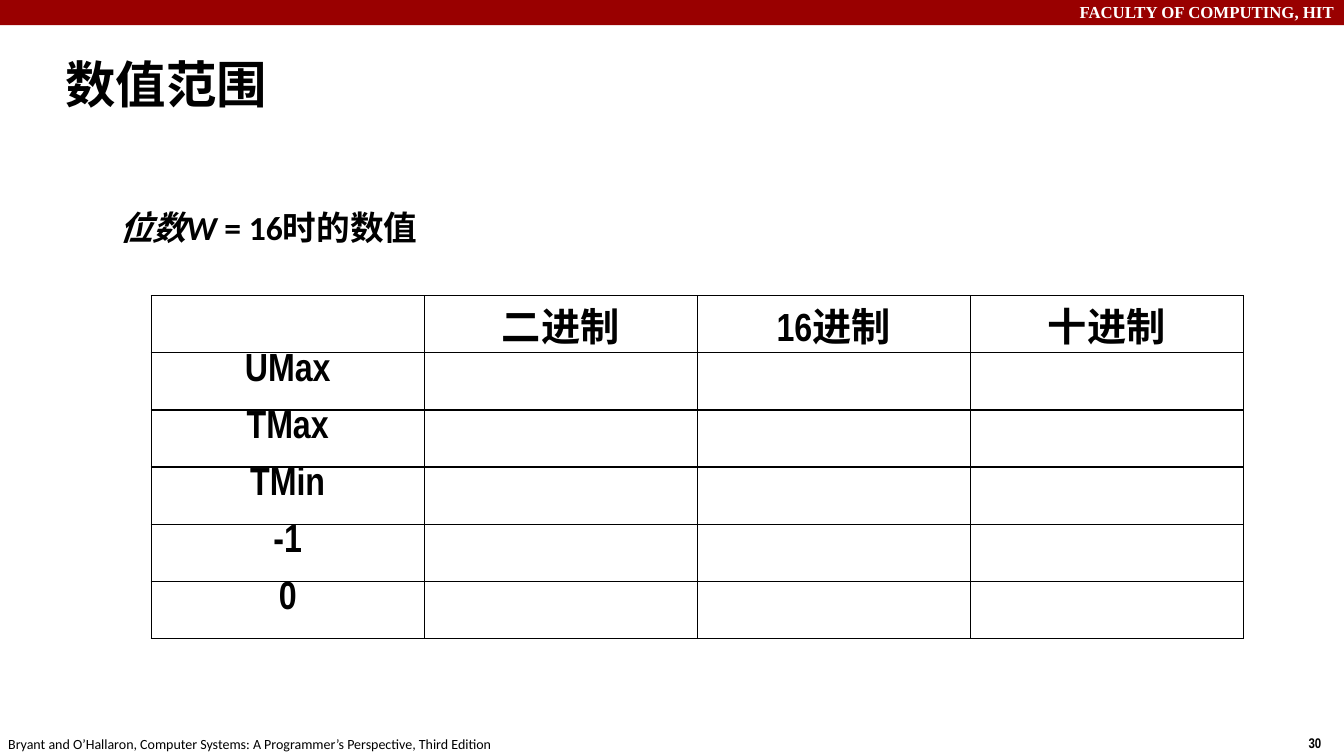
from lxml import etree
from pptx import Presentation
from pptx.dml.color import RGBColor
from pptx.enum.shapes import MSO_SHAPE
from pptx.enum.text import MSO_ANCHOR, PP_ALIGN
from pptx.oxml.ns import qn
from pptx.util import Inches, Pt

RECTANGLE = MSO_SHAPE.RECTANGLE
LEFT, CENTER, RIGHT = PP_ALIGN.LEFT, PP_ALIGN.CENTER, PP_ALIGN.RIGHT
TOP, MIDDLE, BOTTOM = MSO_ANCHOR.TOP, MSO_ANCHOR.MIDDLE, MSO_ANCHOR.BOTTOM

COLORS = {"band": "990000", "paper": "FFFFFF", "ink": "000000"}
BODY, NARROW, SERIF = "Calibri", "Arial Narrow", "Times New Roman"
COLUMNS, ROWS = 16, 9


class SlideBuilder:
    """Places styled elements on a grid of 16 columns by 9 rows."""

    def __init__(self, presentation):
        self.column = presentation.slide_width / COLUMNS
        self.row = presentation.slide_height / ROWS
        self.slide = presentation.slides.add_slide(presentation.slide_layouts[6])

    def place(self, left, top, width, height):
        return (round(left * self.column), round(top * self.row),
                round(width * self.column), round(height * self.row))

    def color(self, name):
        return RGBColor.from_string(COLORS[name])

    def add_run(self, paragraph, text, size, font=BODY, bold=True, italic=False, color="ink"):
        run = paragraph.add_run()
        run.text = text
        run.font.name, run.font.size = font, Pt(size)
        run.font.bold, run.font.italic = bold, italic
        run.font.color.rgb = self.color(color)

    def band(self, box, color):
        shape = self.slide.shapes.add_shape(RECTANGLE, *self.place(*box))
        shape.shadow.inherit = False
        shape.fill.solid()
        shape.fill.fore_color.rgb = self.color(color)
        shape.line.fill.background()

    def text(self, box, runs, align=LEFT, anchor=TOP, wrap=True):
        """Each run is a text with its style settings."""
        frame = self.slide.shapes.add_textbox(*self.place(*box)).text_frame
        frame.word_wrap, frame.vertical_anchor = wrap, anchor
        paragraph = frame.paragraphs[0]
        paragraph.alignment = align
        for text, style in runs:
            self.add_run(paragraph, text, **style)

    def border(self, cell):
        properties = cell._tc.get_or_add_tcPr()
        for side in ("a:lnL", "a:lnR", "a:lnT", "a:lnB"):
            line = etree.SubElement(properties, qn(side), w=str(Pt(1)))
            fill = etree.SubElement(line, qn("a:solidFill"))
            etree.SubElement(fill, qn("a:srgbClr"), val=COLORS["ink"])

    def table(self, box, header, labels, size, font):
        rows = [header] + [[label] + [""] * (len(header) - 1) for label in labels]
        table = self.slide.shapes.add_table(len(rows), len(header), *self.place(*box)).table
        table.first_row = table.horz_banding = False
        for row_index, row in enumerate(rows):
            for column_index, text in enumerate(row):
                cell = table.cell(row_index, column_index)
                cell.margin_top = cell.margin_bottom = 0
                cell.vertical_anchor = TOP if row_index else BOTTOM
                self.border(cell)
                cell.fill.background()
                if text:
                    paragraph = cell.text_frame.paragraphs[0]
                    paragraph.alignment = CENTER
                    self.add_run(paragraph, text, size, font)


def main():
    presentation = Presentation()
    presentation.slide_width, presentation.slide_height = Inches(13.33), Inches(7.5)
    builder = SlideBuilder(presentation)

    # Faculty band
    builder.band((0, 0, COLUMNS, 0.3), "band")
    builder.text((0, -0.04, COLUMNS, 0.36),
                 [("FACULTY OF COMPUTING, HIT", {"size": 12, "font": SERIF, "color": "paper"})],
                 align=RIGHT)

    # Page number and book credit
    builder.text((15.46, 8.68, 0.41, 0.32), [("30", {"size": 10, "font": NARROW})], wrap=False)
    builder.text((-0.02, 8.7, 6.1, 0.32),
                 [("Bryant and O’Hallaron, Computer Systems: A Programmer’s Perspective, "
                   "Third Edition", {"size": 10, "bold": False})], wrap=False)

    # Title and table caption
    builder.text((0.66, 0.49, 15.22, 1), [("数值范围", {"size": 36})], anchor=MIDDLE)
    builder.text((1.3, 2.4, 3.83, 0.6),
                 [("位数W", {"size": 24, "italic": True}), (" = 16时的数值", {"size": 24})])

    # Value ranges
    builder.table((1.8, 3.52, 13, 4.08), ["", "二进制", "16进制", "十进制"],
                  ["UMax", "TMax", "TMin", "-1", "0"], 28, NARROW)

    presentation.save("out.pptx")


if __name__ == "__main__":
    main()
